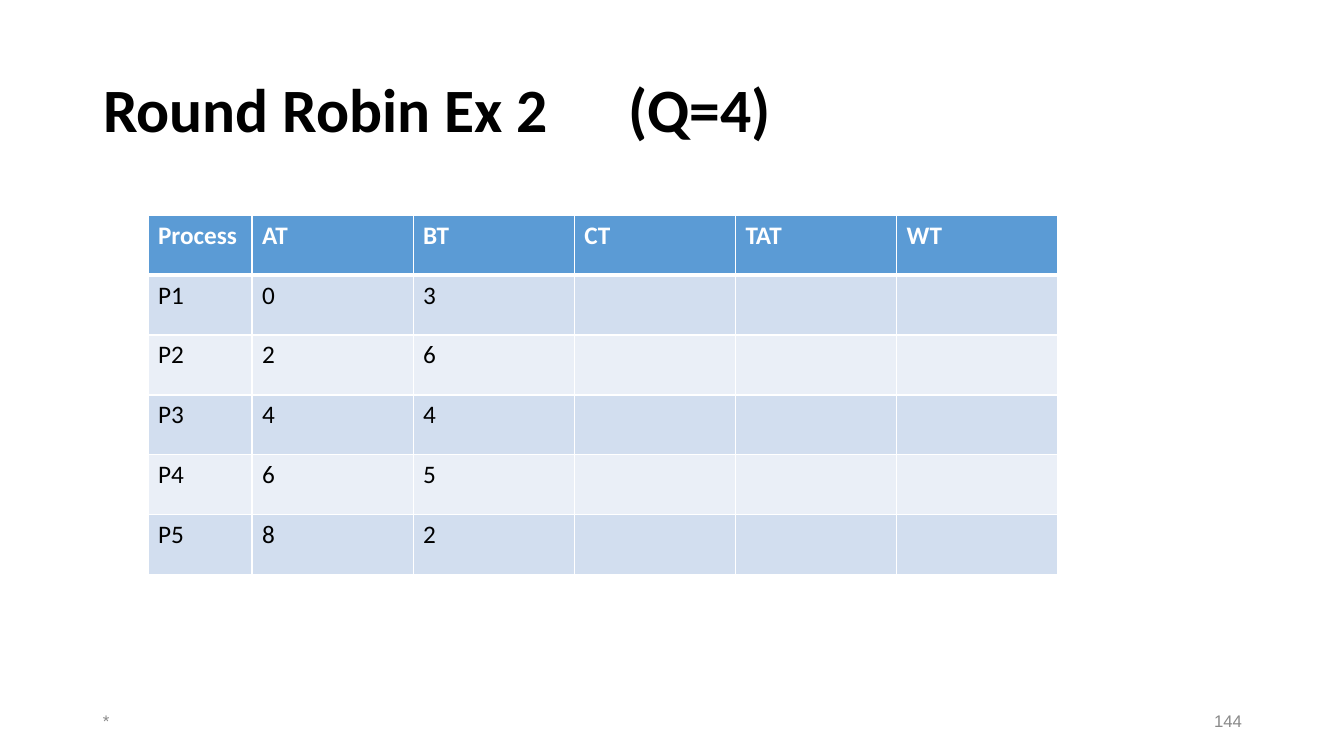
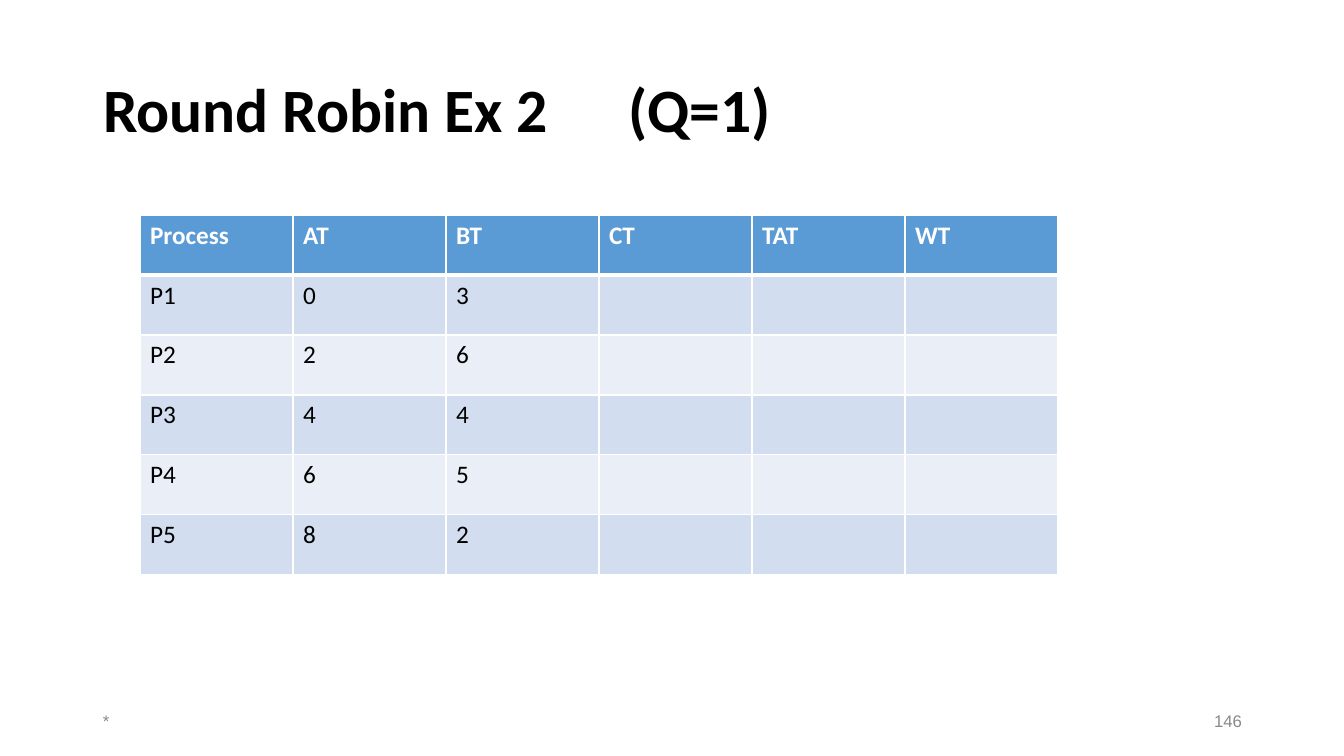
from dataclasses import dataclass

from lxml.etree import SubElement
from pptx import Presentation
from pptx.dml.color import RGBColor
from pptx.enum.text import MSO_ANCHOR, MSO_AUTO_SIZE, PP_ALIGN
from pptx.oxml.ns import qn
from pptx.util import Emu, Pt

EMU_PER_PX = 914400 / 100.8


@dataclass(frozen=True)
class Theme:
    ink: str = "000000"
    paper: str = "FFFFFF"
    footer: str = "898989"
    header: str = "5B9BD5"
    bands: tuple = ("D2DEEF", "EAEFF7")
    text_font: str = "Calibri"
    footer_font: str = "Arial"
    title_size: int = 44
    cell_size: int = 18
    footer_size: int = 12
    thin_border: int = 1
    header_border: int = 3


THEME = Theme()
SLIDE_WIDTH, SLIDE_HEIGHT = 1344, 756
MARGIN, CONTENT_WIDTH = 93, 1159
TITLE_TOP, TITLE_HEIGHT, QUANTUM_TAB = 40, 146, 525
FOOTER_TOP, FOOTER_WIDTH, FOOTER_HEIGHT = 701, 302, 40
TABLE_TOP, TABLE_RIGHT, ROW_HEIGHT = 215, 1058, 60

PROCESSES = [
    ("Process", "AT", "BT", "CT", "TAT", "WT"),
    ("P1", "0", "3", "", "", ""),
    ("P2", "2", "6", "", "", ""),
    ("P3", "4", "4", "", "", ""),
    ("P4", "6", "5", "", "", ""),
    ("P5", "8", "2", "", "", ""),
]


def px(length):
    return Emu(round(length * EMU_PER_PX))


def rgb(colour):
    return RGBColor.from_string(colour)


def add_run(paragraph, text, font, size, colour, bold=False):
    run = paragraph.add_run()
    run.text = text
    run.font.name = font
    run.font.size = Pt(size)
    run.font.color.rgb = rgb(colour)
    run.font.bold = bold


def add_title(slide, quantum):
    title = slide.shapes.title
    title.left, title.top = px(MARGIN), px(TITLE_TOP)
    title.width, title.height = px(CONTENT_WIDTH), px(TITLE_HEIGHT)
    frame = title.text_frame
    frame.auto_size = MSO_AUTO_SIZE.NONE
    frame.vertical_anchor = MSO_ANCHOR.MIDDLE
    heading = frame.paragraphs[0]
    heading.alignment = PP_ALIGN.LEFT
    heading.line_spacing = 0.9
    tabs = SubElement(heading._p.get_or_add_pPr(), qn("a:tabLst"))
    SubElement(tabs, qn("a:tab"), pos=str(px(QUANTUM_TAB)), algn="l")
    for text in ("Round Robin Ex 2", f"\t(Q={quantum})"):
        add_run(heading, text, THEME.text_font, THEME.title_size, THEME.ink, True)


def add_footer(slide, text, left, alignment):
    footer = slide.shapes.add_textbox(
        px(left), px(FOOTER_TOP), px(FOOTER_WIDTH), px(FOOTER_HEIGHT))
    frame = footer.text_frame
    frame.word_wrap = True
    frame.vertical_anchor = MSO_ANCHOR.MIDDLE
    line = frame.paragraphs[0]
    line.alignment = alignment
    add_run(line, text, THEME.footer_font, THEME.footer_size, THEME.footer)


def set_borders(cell, top, bottom):
    thin = THEME.thin_border
    properties = cell._tc.get_or_add_tcPr()
    for side, width in (("L", thin), ("R", thin), ("T", top), ("B", bottom)):
        border = SubElement(properties, qn(f"a:ln{side}"), w=str(Pt(width)))
        fill = SubElement(border, qn("a:solidFill"))
        SubElement(fill, qn("a:srgbClr"), val=THEME.paper)


def fill_cell(cell, text, row):
    is_header = row == 0
    set_borders(
        cell,
        top=THEME.header_border if row == 1 else THEME.thin_border,
        bottom=THEME.header_border if is_header else THEME.thin_border)
    cell.fill.solid()
    band = THEME.bands[(row - 1) % len(THEME.bands)]
    cell.fill.fore_color.rgb = rgb(THEME.header if is_header else band)
    if text:
        add_run(cell.text_frame.paragraphs[0], text, THEME.text_font,
                THEME.cell_size, THEME.paper if is_header else THEME.ink, is_header)


def add_process_table(slide, left, process_width):
    width = TABLE_RIGHT - left
    time_columns = len(PROCESSES[0]) - 1
    time_width = (width - process_width) / time_columns
    table = slide.shapes.add_table(
        len(PROCESSES), time_columns + 1, px(left), px(TABLE_TOP),
        px(width), px(ROW_HEIGHT * len(PROCESSES))).table
    for index, column in enumerate(table.columns):
        column.width = px(time_width if index else process_width)
    for row, values in enumerate(PROCESSES):
        table.rows[row].height = px(ROW_HEIGHT)
        for column, text in enumerate(values):
            fill_cell(table.cell(row, column), text, row)


def add_exercise(deck, quantum, number, table_left, process_width):
    slide = deck.slides.add_slide(deck.slide_layouts.get_by_name("Title Only"))
    add_title(slide, quantum)
    add_footer(slide, "*", MARGIN, PP_ALIGN.LEFT)
    add_footer(slide, number, MARGIN + CONTENT_WIDTH - FOOTER_WIDTH, PP_ALIGN.RIGHT)
    add_process_table(slide, table_left, process_width)


def main():
    deck = Presentation()
    deck.slide_width, deck.slide_height = px(SLIDE_WIDTH), px(SLIDE_HEIGHT)
    add_exercise(deck, quantum=4, number="144", table_left=148, process_width=104)
    add_exercise(deck, quantum=1, number="146", table_left=140, process_width=153)
    deck.save("out.pptx")


if __name__ == "__main__":
    main()
